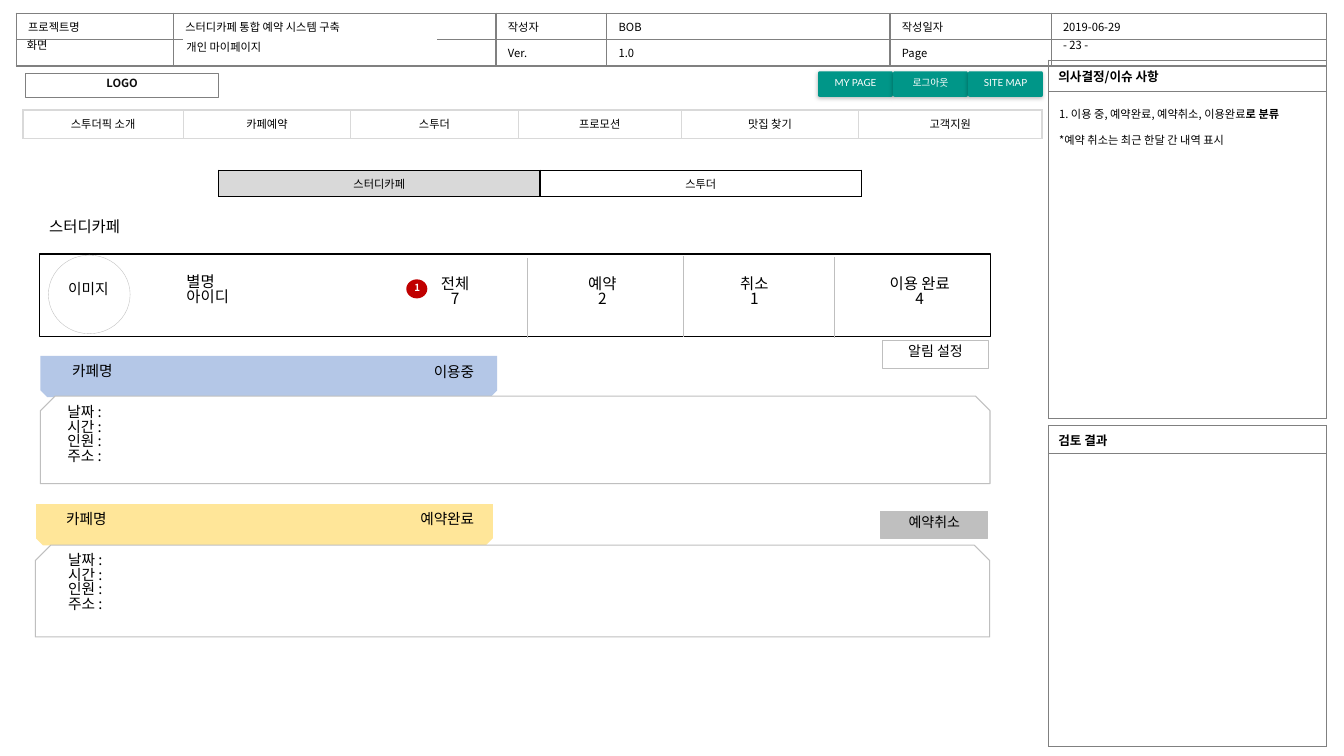
from lxml.etree import SubElement
from pptx import Presentation
from pptx.dml.color import RGBColor
from pptx.enum.shapes import MSO_CONNECTOR, MSO_SHAPE
from pptx.enum.text import MSO_ANCHOR, PP_ALIGN
from pptx.oxml import parse_xml
from pptx.oxml.ns import nsdecls, qn
from pptx.util import Cm, Pt

BLACK = RGBColor(0x00, 0x00, 0x00)
INK = RGBColor(0x0D, 0x0D, 0x0D)
WHITE = RGBColor(0xFF, 0xFF, 0xFF)
GRAY = RGBColor(0x80, 0x80, 0x80)
SILVER = RGBColor(0xBF, 0xBF, 0xBF)
PALE = RGBColor(0xD9, 0xD9, 0xD9)
BLUE = RGBColor(0xB4, 0xC7, 0xE7)
YELLOW = RGBColor(0xFF, 0xE6, 0x99)
TEAL = RGBColor(0x00, 0x96, 0x88)
RED = RGBColor(0xC0, 0x00, 0x00)

LEFT, CENTER, RIGHT = PP_ALIGN.LEFT, PP_ALIGN.CENTER, PP_ALIGN.RIGHT
TOP, MIDDLE = MSO_ANCHOR.TOP, MSO_ANCHOR.MIDDLE


class Page:
    font = "Noto Sans CJK KR"
    spacing = 0.82

    def __init__(self, slide):
        self.slide = slide
        self.shapes = slide.shapes

    def style(self, para, size, color=BLACK, bold=False, align=LEFT, face=None):
        para.alignment = align
        font = para.font
        font.size, font.bold, font.name = Pt(size), bold, face or self.font
        font.color.rgb = color
        east = SubElement(para._p.pPr.find(qn("a:defRPr")), qn("a:ea"))
        east.set("typeface", self.font)

    def label(self, frame, lines, size, anchor=TOP, wrap=True, **look):
        frame.word_wrap = wrap
        frame.vertical_anchor = anchor
        for i, line in enumerate(lines):
            para = frame.paragraphs[0] if i == 0 else frame.add_paragraph()
            para.add_run().text = line
            para.line_spacing = self.spacing
            self.style(para, size, **look)

    def text(self, box, *lines, size=8, **look):
        frame = self.shapes.add_textbox(*map(Cm, box)).text_frame
        self.label(frame, lines, size, **look)
        return frame

    def shape(self, kind, box, fill=None, line=None, width=1):
        item = self.shapes.add_shape(kind, *map(Cm, box))
        item.shadow.inherit = False
        if fill is None:
            item.fill.background()
        else:
            item.fill.solid()
            item.fill.fore_color.rgb = fill
        if line is None:
            item.line.fill.background()
        else:
            item.line.color.rgb = line
            item.line.width = Pt(width)
        return item

    def rule(self, x, top, end):
        line = self.shapes.add_connector(
            MSO_CONNECTOR.STRAIGHT, Cm(x), Cm(top), Cm(x), Cm(end))
        line.line.color.rgb = SILVER
        line.line.width = Pt(0.5)
        SubElement(line._element.spPr, qn("a:effectLst"))

    def border(self, cell, color):
        for i, side in enumerate("LRTB"):
            cell._tc.get_or_add_tcPr().insert(i, parse_xml(
                f'<a:ln{side} {nsdecls("a")} w="12700"><a:solidFill>'
                f'<a:srgbClr val="{color}"/></a:solidFill></a:ln{side}>'))

    def table(self, x, y, cols, rows, cells, edge, fills=None, size=8,
              anchor=MIDDLE, inset=0.25, **look):
        """Draw a bordered grid; fills holds one colour per column."""
        frame = self.shapes.add_table(
            len(rows), len(cols), Cm(x), Cm(y), Cm(sum(cols)), Cm(sum(rows)))
        grid = frame.table
        grid.first_row = grid.horz_banding = False
        for col, width in zip(grid.columns, cols):
            col.width = Cm(width)
        for row, height, words in zip(grid.rows, rows, cells):
            row.height = Cm(height)
            for i, (cell, word) in enumerate(zip(row.cells, words)):
                cell.margin_left = cell.margin_right = Cm(inset)
                cell.vertical_anchor = anchor
                para = cell.text_frame.paragraphs[0]
                if word:
                    para.add_run().text = word
                self.style(para, size, **look)
                if not word:
                    SubElement(para._p, qn("a:endParaRPr")).set("sz", str(size * 100))
                if fills:
                    cell.fill.solid()
                    cell.fill.fore_color.rgb = fills[i]
                else:
                    cell.fill.background()
                self.border(cell, edge)

    def button(self, box, word, fill=None):
        item = self.shape(MSO_SHAPE.RECTANGLE, box, fill, SILVER, 0)
        self.label(item.text_frame, [word], 10, align=CENTER)

    def menu(self, x, word):
        """Draw a raised teal button of the top menu."""
        item = self.shape(MSO_SHAPE.ROUNDED_RECTANGLE, (x, 1.8, 1.88, 0.64), TEAL)
        item.adjustments[0] = 0.05
        frame = item.text_frame
        frame.margin_left = frame.margin_right = Cm(0.2)
        self.label(frame, [word], 7, MIDDLE, color=WHITE, align=CENTER, face="Lato")
        shade = item._element.spPr.find(qn("a:effectLst"))
        shade.append(parse_xml(
            f'<a:outerShdw {nsdecls("a")} blurRad="38100" dist="12700" dir="5400000">'
            '<a:srgbClr val="000000"><a:alpha val="25000"/></a:srgbClr></a:outerShdw>'))

    def card(self, tab, body, name, state, info, status, color):
        """Draw a booking: coloured tab, framed body and their texts."""
        head = self.shape(MSO_SHAPE.SNIP_2_SAME_RECTANGLE, (*tab, 11.51, 1.04), color)
        head.rotation = 180
        self.shape(MSO_SHAPE.SNIP_2_SAME_RECTANGLE, body, WHITE, SILVER, 0.75)
        self.text((*name, 4.78, 0.74), "카페명", size=10.5)
        self.text((7.42, state, 4.78, 0.74), status, size=10.5, align=RIGHT)
        self.text((*info, 9.35, 2.06), "날짜 :", "시간 :", "인원 :", "주소 :", size=10.5)


def header(page):
    page.table(0.41, 0.33, (3.96, 8.13, 2.79, 7.14, 4.06, 6.93), (0.6, 0.6), (
        ("프로젝트명", "스터디카페 통합 예약 시스템 구축", "작성자", "BOB",
         "작성일자", "2019-06-29"),
        ("", "", "Ver.", "1.0", "Page", "")), GRAY, anchor=TOP, inset=0.3)
    page.text((26.54, 0.91, 2.72, 0.61), "- 23 -")
    page.text((0.43, 0.89, 1.04, 0.61), "화면", wrap=False)
    page.shape(MSO_SHAPE.RECTANGLE, (4.62, 0.97, 6.38, 0.48), WHITE, WHITE)
    page.text((4.45, 0.97, 6.65, 0.51), "개인 마이페이지", anchor=MIDDLE)


def notes(page):
    for y, rows, title in ((1.52, (0.79, 8.23), "의사결정/이슈 사항"),
                           (10.72, (0.71, 7.39), "검토 결과")):
        page.table(26.42, y, (7.01,), rows, ((title,), ("",)), GRAY, size=9, bold=True)
    frame = page.text((26.44, 2.65, 6.65, 6.11),
                      "1. 이용 중, 예약완료, 예약취소, 이용완료",
                      "*예약 취소는 최근 한달 간 내역 표시")
    first, last = frame.paragraphs
    run = first.add_run()
    run.text = "로 분류"
    run.font.bold = True
    last.space_before = Pt(10.3)


def menus(page):
    logo = page.shape(MSO_SHAPE.RECTANGLE, (0.64, 1.85, 4.88, 0.61), None, GRAY, 0.75)
    page.label(logo.text_frame, ["LOGO"], 8, color=INK, bold=True, align=CENTER)
    for i, word in enumerate(("MY PAGE", "로그아웃", "SITE MAP")):
        page.menu(20.62 + 1.89 * i, word)
    page.table(0.58, 2.77, (4.04, 4.22, 4.22, 4.11, 4.47, 4.62), (0.71,), (
        ("스투더픽 소개", "카페예약", "스투더", "프로모션", "맛집 찾기", "고객지원"),),
        PALE, [WHITE] * 6, inset=0.3, align=CENTER)
    page.table(5.51, 4.29, (8.1, 8.1), (0.66,), (("스터디카페", "스투더"),),
               BLACK, (PALE, WHITE), align=CENTER)


def profile(page):
    page.text((0.99, 5.44, 6.93, 0.74), "스터디카페", size=11)
    page.shape(MSO_SHAPE.RECTANGLE, (0.99, 6.4, 23.98, 2.08), WHITE, BLACK)
    page.shape(MSO_SHAPE.OVAL, (1.22, 6.43, 2.06, 1.98), WHITE, SILVER, 0.25)
    page.text((1.47, 7.01, 2.06, 0.74), "이미지", size=10.5)
    page.text((4.45, 6.81, 5.11, 1.19), "별명", "아이디", size=11)
    for x, top, end in ((13.28, 6.5, 8.51), (17.22, 6.45, 8.48), (21.03, 6.48, 8.51)):
        page.rule(x, top, end)
    for x, word, count in ((9.68, "전체", "7"), (13.39, "예약", "2"),
                           (17.22, "취소", "1"), (21.39, "이용 완료", "4")):
        page.text((x, 6.86, 3.58, 1.19), word, count, size=11, align=CENTER)
    badge = page.shape(MSO_SHAPE.OVAL, (10.24, 7.04, 0.53, 0.48), RED)
    page.label(badge.text_frame, ["1"], 7, MIDDLE, color=WHITE, bold=True, align=CENTER)


def cards(page):
    page.card((1.02, 8.97), (1.02, 9.98, 23.93, 2.21), (1.57, 9.07), 9.09,
              (1.45, 10.11), "이용중", BLUE)
    page.card((0.91, 12.7), (0.89, 13.74, 24.05, 2.31), (1.42, 12.8), 12.8,
              (1.47, 13.84), "예약완료", YELLOW)
    page.button((22.23, 8.59, 2.69, 0.69), "알림 설정")
    page.button((22.2, 12.88, 2.69, 0.69), "예약취소", SILVER)


def main():
    deck = Presentation()
    deck.slide_width, deck.slide_height = Cm(33.87), Cm(19.05)
    page = Page(deck.slides.add_slide(deck.slide_layouts[6]))
    for part in (header, notes, menus, profile, cards):
        part(page)
    deck.save("out.pptx")


if __name__ == "__main__":
    main()
